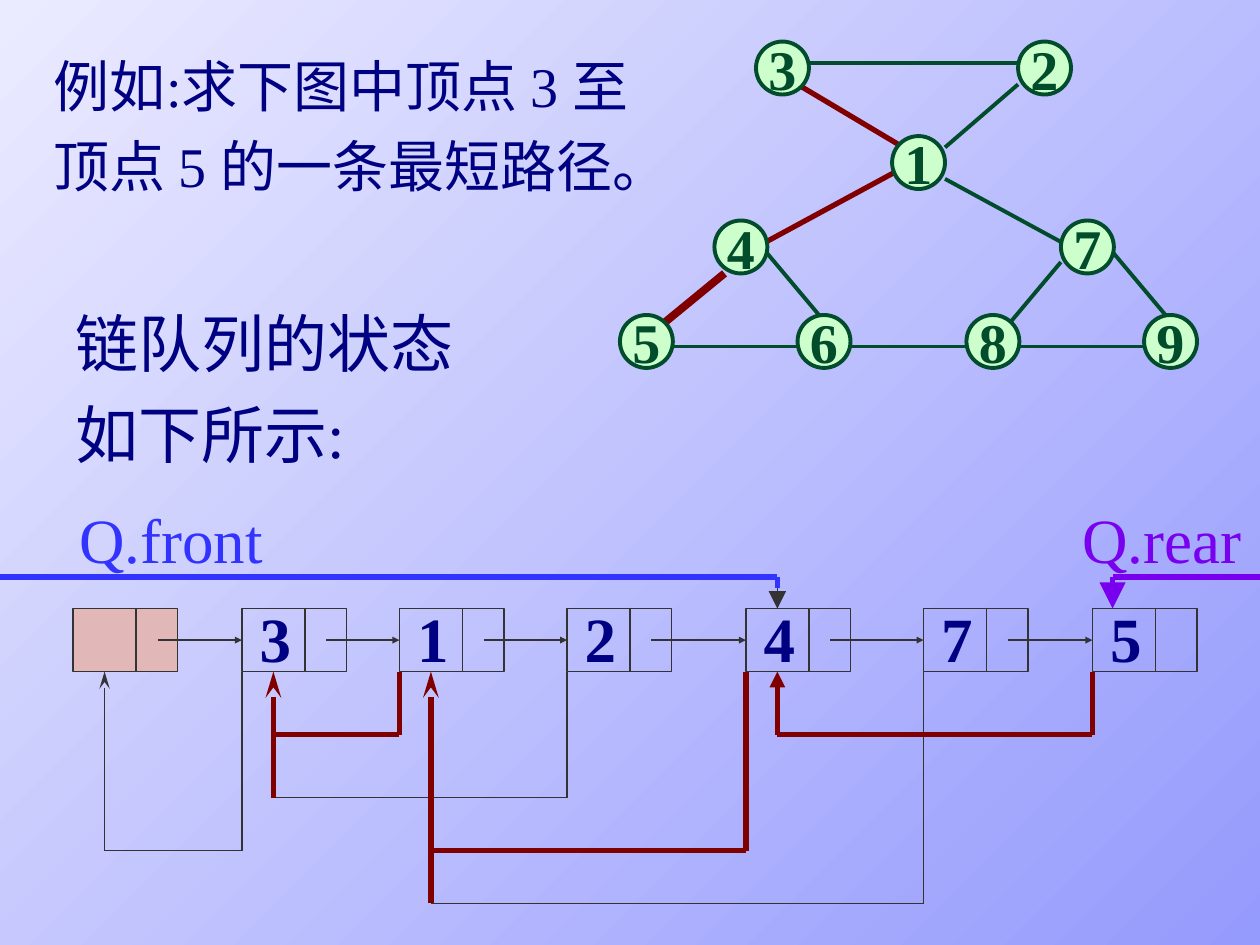
from itertools import pairwise

from lxml import etree
from pptx import Presentation
from pptx.dml.color import RGBColor as RGB
from pptx.enum.shapes import MSO_CONNECTOR as Conn, MSO_SHAPE as Kind
from pptx.enum.text import MSO_ANCHOR as Anchor, PP_ALIGN as Align
from pptx.oxml.ns import qn
from pptx.util import Inches, Pt

NAVY = RGB(0x00, 0x00, 0x82)
GREEN = RGB(0x00, 0x4C, 0x2B)
MINT = RGB(0xCC, 0xFF, 0xCC)
RED = RGB(0x80, 0x00, 0x00)
GREY = RGB(0x33, 0x33, 0x33)
BLUE = RGB(0x33, 0x33, 0xFF)
VIOLET = RGB(0x78, 0x00, 0xEE)
PINK = RGB(0xE1, 0xB7, 0xB7)
DARK = RGB(0x95, 0x9A, 0xFD)
LIGHT = RGB(0xEB, 0xEB, 0xFF)

prs = Presentation()
prs.slide_width, prs.slide_height = Inches(10), Inches(7.5)
slide = prs.slides.add_slide(prs.slide_layouts[6])
shapes = slide.shapes


def draw(start, end, color, width, head=None):
    """Add a straight line; head is (type, width, length)."""
    line = shapes.add_connector(Conn.STRAIGHT, *map(Inches, start + end))
    line.line.color.rgb = color
    line.line.width = Pt(width)
    if head:
        tail = etree.SubElement(line.line._get_or_add_ln(), qn("a:tailEnd"))
        for key, value in zip(("type", "w", "len"), head):
            tail.set(key, value)
    etree.SubElement(line._element.spPr, qn("a:effectLst"))
    return line


def write(shape, text, size, color, bold=False):
    """Put one run into the first paragraph of a shape."""
    para = shape.text_frame.paragraphs[0]
    run = para.add_run()
    run.text = text
    font = run.font
    font.name, font.size, font.bold = "Times New Roman", Pt(size), bold
    font.color.rgb = color
    return para


# Background
fill = slide.background.fill
fill.gradient()
fill.gradient_angle = 135
for stop, color in zip(fill.gradient_stops, (DARK, LIGHT)):
    stop.color.rgb = color

# Problem text
for left, top, wide, high, size, text in (
    (0.33, 0.25, 4.92, 2.02, 32, "例如:求下图中顶点 3 至顶点 5 的一条最短路径。"),
    (0.5, 2.25, 3.67, 1.54, 36, "链队列的状态如下所示:"),
):
    box = shapes.add_textbox(*map(Inches, (left, top, wide, high)))
    box.text_frame.word_wrap = True
    write(box, text, size, NAVY).line_spacing = 1.2

# Graph edges, with the shortest path in red
for start, end in (
    ((6.42, 0.5), (8.08, 0.5)), ((8.08, 0.67), (7.5, 1.17)),
    ((7.5, 1.42), (8.42, 1.92)), ((8.42, 2.08), (8, 2.58)),
    ((8.83, 2), (9.25, 2.5)), ((6.08, 2), (6.5, 2.5)),
    ((5.33, 2.75), (6.42, 2.75)), ((6.75, 2.75), (7.67, 2.75)),
    ((8.08, 2.75), (9.08, 2.75)),
):
    draw(start, end, GREEN, 2.25)
for start, end, width in (
    ((6.33, 0.67), (7.17, 1.17), 3),
    ((7.17, 1.33), (6.08, 1.92), 3),
    ((5.75, 2.17), (5.25, 2.58), 4.5),
):
    draw(start, end, RED, width)

# Graph nodes
for name, left, top in (
    ("3", 6, 0.33), ("2", 8.08, 0.33), ("1", 7.08, 1.08),
    ("4", 5.67, 1.75), ("7", 8.42, 1.75),
    ("5", 4.92, 2.5), ("6", 6.33, 2.5), ("8", 7.67, 2.5), ("9", 9.08, 2.5),
):
    node = shapes.add_shape(Kind.OVAL, *map(Inches, (left, top, 0.42, 0.42)))
    node.shadow.inherit = False
    node.fill.solid()
    node.fill.fore_color.rgb = MINT
    node.line.color.rgb = GREEN
    node.line.width = Pt(2.25)
    node.text_frame.word_wrap = False
    node.text_frame.vertical_anchor = Anchor.MIDDLE
    write(node, name, 32, GREEN, True).alignment = Align.CENTER

# Queue cells: a value part, a link part and an arrow from the cell before
TOP, LOW, MID = 4.83, 5.33, 5.08
last = None
for name, left in (
    ("", 0.58), ("3", 1.92), ("1", 3.17), ("2", 4.5),
    ("4", 5.92), ("7", 7.33), ("5", 8.67),
):
    cell = shapes.add_shape(Kind.RECTANGLE, *map(Inches, (left, TOP, 0.83, 0.5)))
    cell.shadow.inherit = False
    cell.line.color.rgb = GREY
    cell.line.width = Pt(1)
    if name:
        cell.fill.background()
        frame = cell.text_frame
        frame.margin_left = frame.margin_top = 0
        frame.margin_right, frame.margin_bottom = Inches(0.3), Inches(0.04)
        frame.vertical_anchor = Anchor.MIDDLE
        write(cell, name, 36, NAVY, True).alignment = Align.CENTER
    else:
        cell.fill.solid()
        cell.fill.fore_color.rgb = PINK
    draw((left + 0.5, TOP), (left + 0.5, LOW), GREY, 1)
    if last is not None:
        link = draw((last + 0.67, MID), (left, MID), GREY, 1,
                    ("triangle", "sm", "sm"))
        link.end_connect(cell, 1)
    last = left

# Links back to the parent, and the front and rear pointers
thin = ("stealth", "med", "lg")
for color, width, head, points in (
    (GREY, 1, thin, ((1.92, LOW), (1.92, 6.75), (0.83, 6.75), (0.83, LOW))),
    (GREY, 1, None, ((4.5, LOW), (4.5, 6.33), (2.17, 6.33))),
    (RED, 3, thin, ((2.17, 6.33), (2.17, LOW))),
    (RED, 3, None, ((3.17, LOW), (3.17, 5.83), (2.17, 5.83))),
    (GREY, 1, None, ((7.33, LOW), (7.33, 7.17), (3.42, 7.17))),
    (RED, 3, thin, ((3.42, 7.17), (3.42, LOW))),
    (RED, 3, None, ((5.92, LOW), (5.92, 6.75), (3.42, 6.75))),
    (RED, 3, ("triangle", "med", "med"),
     ((8.67, LOW), (8.67, 5.83), (6.17, 5.83), (6.17, LOW))),
    (BLUE, 3, None, ((0, 4.58), (6.17, 4.58), (6.17, 4.67))),
    (GREY, 1, ("triangle", "lg", "lg"), ((6.17, 4.67), (6.17, TOP))),
    (VIOLET, 3, ("triangle", "lg", "lg"),
     ((10, 4.58), (8.83, 4.58), (8.83, TOP))),
):
    for start, end in pairwise(points):
        draw(start, end, color, width, head if end == points[-1] else None)

# Pointer labels
for text, left, wide, color in (
    ("Q.front", 0.53, 1.8, BLUE), ("Q.rear", 8.49, 1.5, VIOLET),
):
    box = shapes.add_textbox(*map(Inches, (left, 3.92, wide, 0.7)))
    box.text_frame.word_wrap = True
    write(box, text, 36, color)

prs.save("out.pptx")
